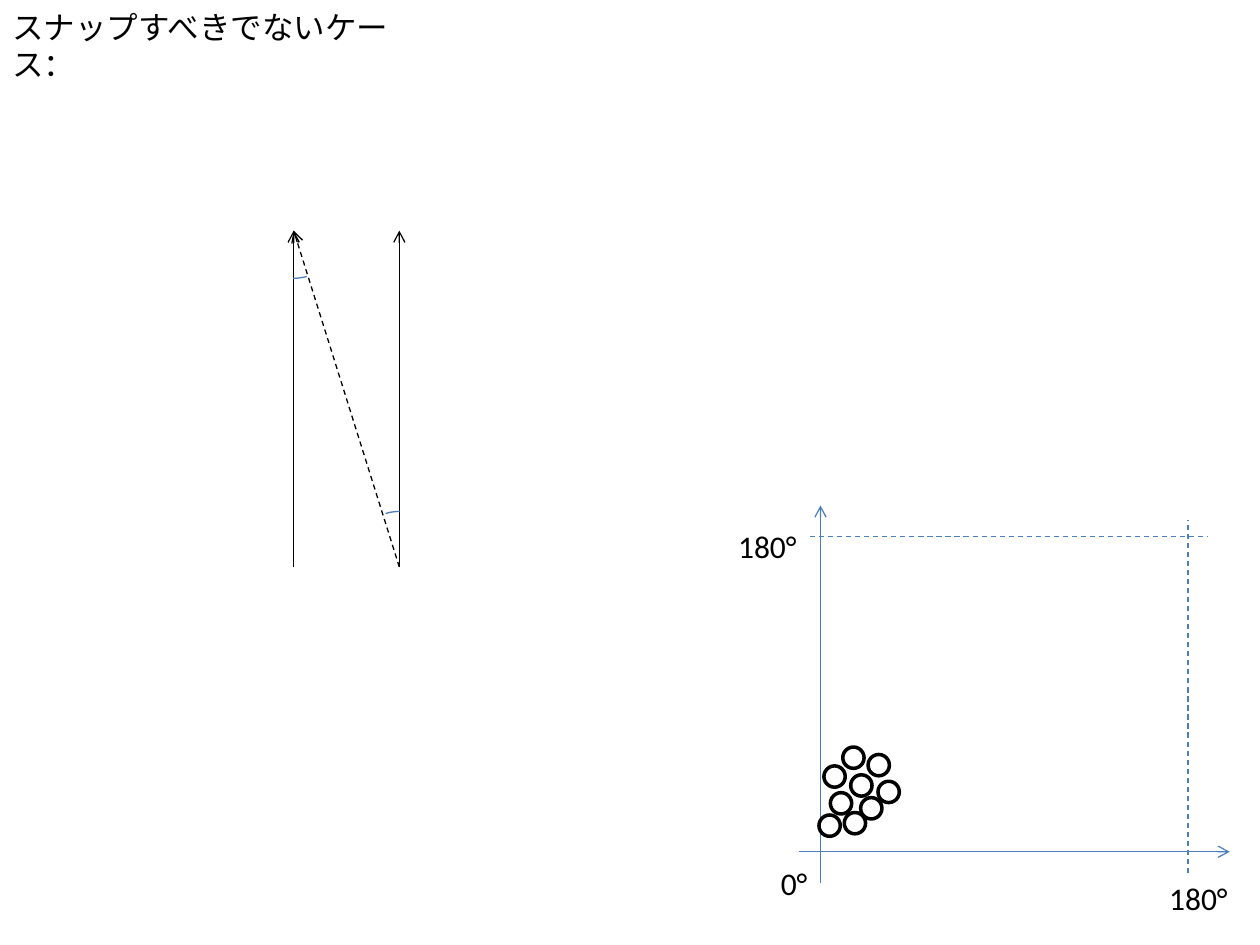
"""Build the slide on cases that should not be snapped."""
from lxml import etree
from pptx import Presentation
from pptx.dml.color import RGBColor
from pptx.enum.dml import MSO_LINE
from pptx.enum.shapes import MSO_CONNECTOR, MSO_SHAPE
from pptx.enum.text import MSO_AUTO_SIZE
from pptx.oxml.ns import qn
from pptx.util import Cm, Pt

STRAIGHT = MSO_CONNECTOR.STRAIGHT
ARC = MSO_SHAPE.ARC
OVAL = MSO_SHAPE.OVAL
DASH = MSO_LINE.DASH
FIT_TEXT = MSO_AUTO_SIZE.SHAPE_TO_FIT_TEXT
BLACK = RGBColor(0x00, 0x00, 0x00)
WHITE = RGBColor(0xFF, 0xFF, 0xFF)
BLUE = RGBColor(0x4B, 0x7E, 0xBC)


def write_text(frame, text, font="Calibri", size=18, color=BLACK):
    """Write text into a frame in the given format."""
    run = frame.paragraphs[0].add_run()
    run.text = text
    run.font.name = font
    run.font.size = Pt(size)
    run.font.color.rgb = color


class SlideBuilder:
    """Hold the line style and the shapes being drawn on."""

    thin = Pt(0.75)
    thick = Pt(2)
    dot_size = Cm(0.43)

    def __init__(self, shapes):
        self.shapes = shapes

    def line(self, start, end, color, dashed=False, arrow=False):
        """Draw a straight line, with an arrowhead at its end if asked."""
        points = [Cm(value) for value in (*start, *end)]
        connector = self.shapes.add_connector(STRAIGHT, *points)
        connector.line.color.rgb = color
        connector.line.width = self.thin
        if dashed:
            connector.line.dash_style = DASH
        if arrow:
            outline = connector.line._get_or_add_ln()
            etree.SubElement(outline, qn("a:tailEnd"), type="arrow")
        etree.SubElement(connector._element.spPr, qn("a:effectLst"))

    def angle_mark(self, left, top, width, height, rotation=0):
        """Draw the arc that marks an angle."""
        mark = self.shapes.add_shape(ARC, Cm(left), Cm(top), Cm(width), Cm(height))
        mark.adjustments[0] = 44.67
        mark.adjustments[1] = 54.61
        mark.rotation = rotation
        mark.shadow.inherit = False
        mark.fill.background()
        mark.line.color.rgb = BLUE
        mark.line.width = self.thin

    def dot(self, left, top):
        """Draw one plotted point."""
        dot = self.shapes.add_shape(OVAL, Cm(left), Cm(top), self.dot_size, self.dot_size)
        dot.shadow.inherit = False
        dot.fill.solid()
        dot.fill.fore_color.rgb = WHITE
        dot.line.color.rgb = BLACK
        dot.line.width = self.thick

    def label(self, text, left, top, width):
        """Place one line of text."""
        box = self.shapes.add_textbox(Cm(left), Cm(top), Cm(width), Cm(1.02))
        box.text_frame.word_wrap = True
        box.text_frame.auto_size = FIT_TEXT
        write_text(box.text_frame, text)


def main():
    """Draw the segment pair and the angle plot."""
    deck = Presentation()
    deck.slide_width = Cm(25.4)
    deck.slide_height = Cm(19.05)
    slide = deck.slides.add_slide(deck.slide_layouts[6])
    segments = SlideBuilder(slide.shapes)

    segments.label("スナップすべきでないケース：", 0, 0.03, 8.41)
    left_x, right_x, tip_y, base_y = 5.92, 8.05, 4.65, 11.43
    for x in (left_x, right_x):
        segments.line((x, base_y), (x, tip_y), BLACK, arrow=True)
    segments.angle_mark(4.98, 3.71, 1.9, 1.9)
    segments.line((right_x, base_y), (left_x, tip_y), BLACK, dashed=True, arrow=True)
    segments.angle_mark(7.09, 10.31, 1.9, 2, rotation=180)

    plot = SlideBuilder(slide.shapes.add_group_shape().shapes)
    axis_x, axis_y, limit_x, limit_y = 16.54, 17.17, 23.95, 10.82
    plot.line((16.1, axis_y), (24.79, axis_y), BLUE, arrow=True)
    plot.line((axis_x, 17.81), (axis_x, 10.19), BLUE, arrow=True)
    plot.line((16.33, limit_y), (24.36, limit_y), BLUE, dashed=True)
    plot.line((limit_x, 17.6), (limit_x, 10.49), BLUE, dashed=True)
    plot.label("180°", 23.32, 17.6, 2.13)
    plot.label("180°", 14.63, 10.49, 2.13)
    plot.label("0°", 15.49, 17.3, 1.47)

    dot_corners = [
        (17.35, 16.08), (17.02, 16.38), (17.7, 15.75),
        (16.51, 16.43), (16.74, 15.98), (17.15, 15.62),
        (16.61, 15.44), (16.99, 15.06), (17.5, 15.21),
    ]
    for left, top in dot_corners:
        segments.dot(left, top)

    deck.save("out.pptx")


if __name__ == "__main__":
    main()
